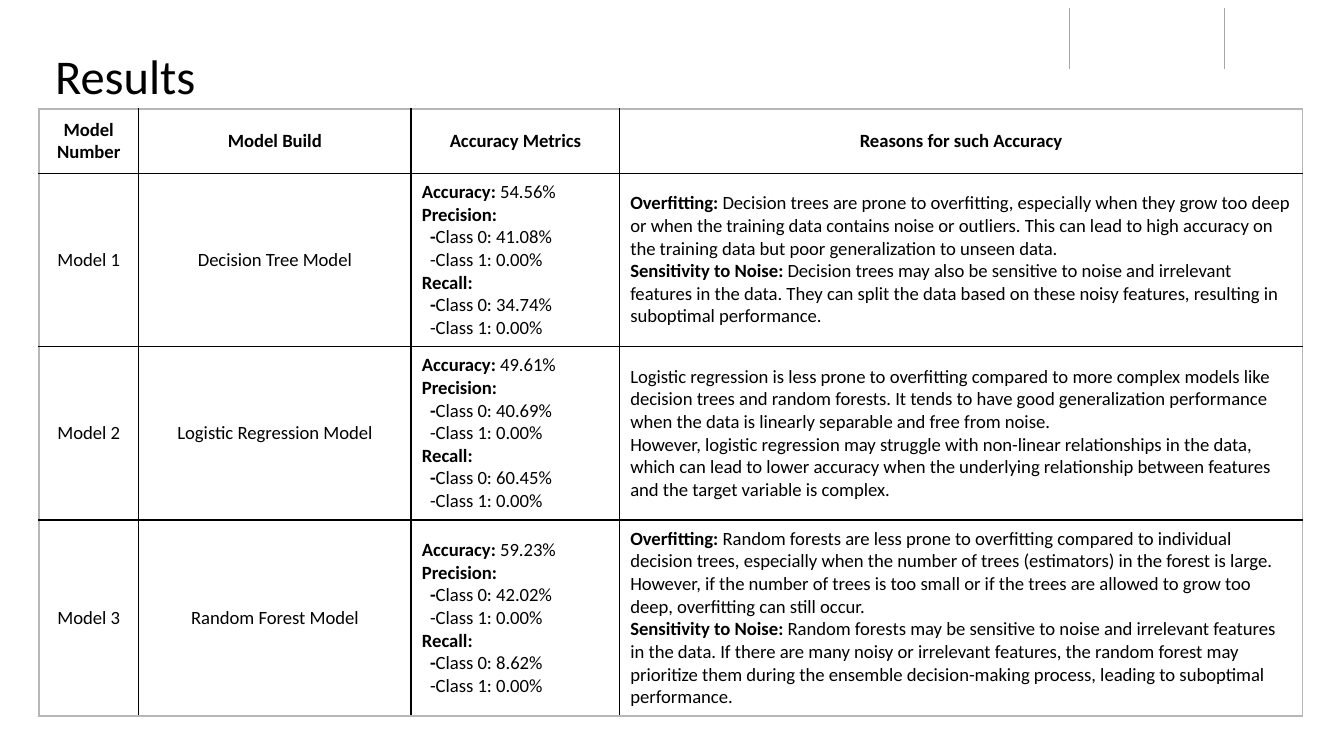
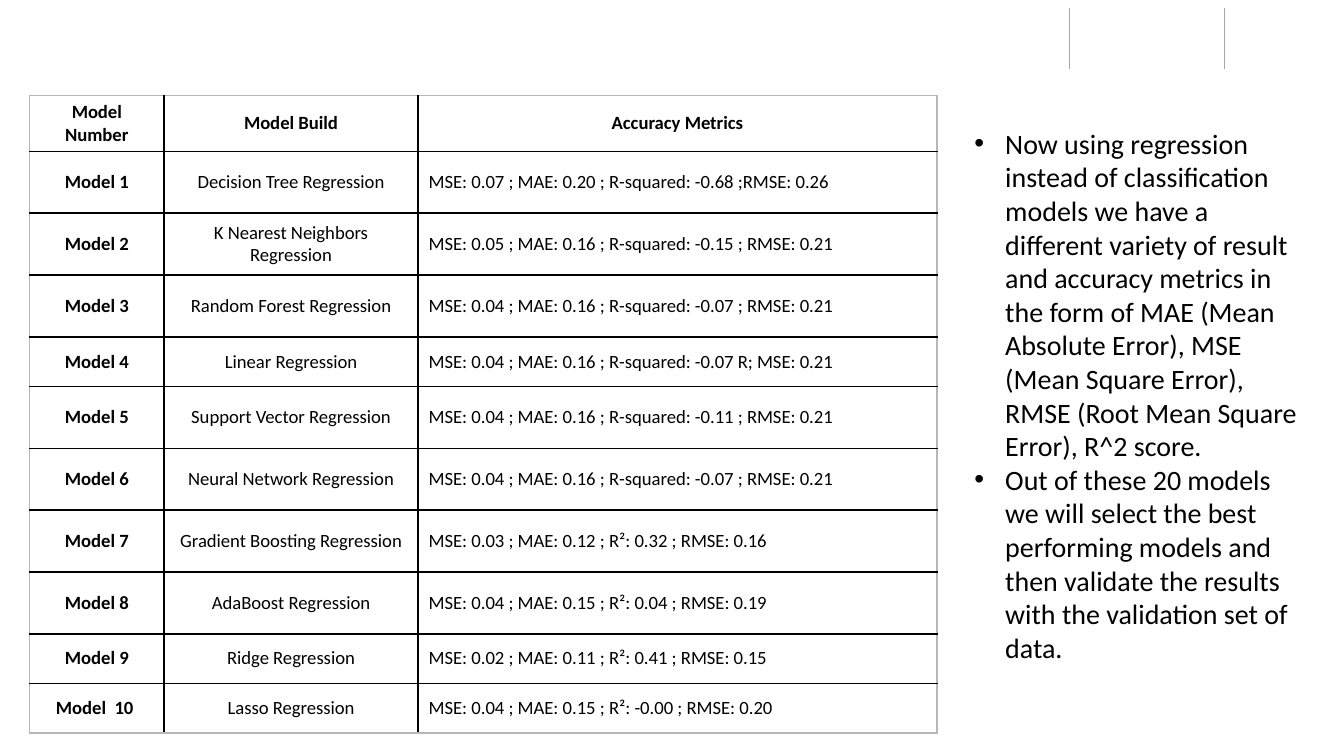
from dataclasses import dataclass

from lxml import etree
from pptx import Presentation
from pptx import util as u
from pptx.dml.color import RGBColor
from pptx.enum import shapes, text
from pptx.oxml import ns

COLOURS = {"ink": "000000", "guide": "A6A6A6", "frame": "B7B7B7"}
FONT = "Calibri"
CELL_SIZE = 10
TITLE_SIZE = 26
BODY_SIZE = 15
GUIDE_LEFTS = (7.96, 9.11)
INSETS = {"left": 0.08, "top": 0.04, "right": 0.08, "bottom": 0.04}


@dataclass(frozen=True)
class Line:
    lead: str = ""
    body: str = ""
    indent: float = 0


@dataclass(frozen=True)
class Cell:
    lines: tuple[Line, ...]
    centred: bool = False


@dataclass(frozen=True)
class Grid:
    left: float
    top: float
    columns: tuple[float, ...]
    heights: tuple[float, ...]
    rows: list[list[Cell]]


def colour(name: str) -> RGBColor:
    return RGBColor.from_string(COLOURS[name])


def label(words: str, bold: bool = False) -> Cell:
    return Cell((Line(lead=words) if bold else Line(body=words),), centred=True)


def headings(*names: str) -> list[Cell]:
    return [label(name, bold=True) for name in names]


def score_lines(accuracy: str, precision: str, recall: str) -> Cell:
    lines = [Line("Accuracy: ", accuracy)]
    for name, value in (("Precision:", precision), ("Recall:", recall)):
        lines += [
            Line(name),
            Line("-", f"Class 0: {value}", 0.06),
            Line("", "-Class 1: 0.00%", 0.06),
        ]
    return Cell(tuple(lines))


def reasons(overfitting: str, noise: str) -> Cell:
    return Cell((Line("Overfitting: ", overfitting), Line("Sensitivity to Noise: ", noise)))


def add_span(para, words: str, size: float, bold: bool = False) -> None:
    span = para.add_run()
    span.text = words
    span.font.name = FONT
    span.font.size = u.Pt(size)
    span.font.bold = bold
    span.font.color.rgb = colour("ink")


def set_insets(target) -> None:
    for side, inset in INSETS.items():
        setattr(target, f"margin_{side}", u.Inches(inset))


def next_para(frame, index: int):
    return frame.add_paragraph() if index else frame.paragraphs[0]


def set_borders(cell, sides: dict[str, str]) -> None:
    properties = cell._tc.get_or_add_tcPr()
    for tag, name in sides.items():
        edge = etree.SubElement(properties, ns.qn(f"a:{tag}"), w=str(u.Pt(1)))
        fill = etree.SubElement(edge, ns.qn("a:solidFill"))
        etree.SubElement(fill, ns.qn("a:srgbClr"), val=COLOURS[name])


def fill_cell(cell, content: Cell) -> None:
    set_insets(cell)
    cell.vertical_anchor = text.MSO_ANCHOR.MIDDLE
    for index, line in enumerate(content.lines):
        para = next_para(cell.text_frame, index)
        para.alignment = text.PP_ALIGN.CENTER if content.centred else text.PP_ALIGN.LEFT
        if line.indent:
            para._p.get_or_add_pPr().set("marL", str(u.Inches(line.indent)))
        if line.lead:
            add_span(para, line.lead, CELL_SIZE, bold=True)
        if line.body:
            add_span(para, line.body, CELL_SIZE)


def add_grid(page, grid: Grid) -> None:
    row_count, column_count = len(grid.heights), len(grid.columns)
    table = page.shapes.add_table(
        row_count, column_count, u.Inches(grid.left), u.Inches(grid.top),
        u.Inches(sum(grid.columns)), u.Inches(sum(grid.heights)),
    ).table
    table.first_row = False
    table.horz_banding = False
    for column, width in zip(table.columns, grid.columns):
        column.width = u.Inches(width)
    for row, height in zip(table.rows, grid.heights):
        row.height = u.Inches(height)
    for r, contents in enumerate(grid.rows):
        for c, content in enumerate(contents):
            cell = table.cell(r, c)
            fill_cell(cell, content)
            outer = {
                "lnL": c == 0, "lnR": c == column_count - 1,
                "lnT": r == 0, "lnB": r == row_count - 1,
            }
            set_borders(cell, {tag: "frame" if edge else "ink" for tag, edge in outer.items()})
            cell.fill.background()


def add_text_frame(page, left: float, top: float, width: float, height: float):
    box = page.shapes.add_textbox(
        u.Inches(left), u.Inches(top), u.Inches(width), u.Inches(height))
    frame = box.text_frame
    frame.word_wrap = True
    set_insets(frame)
    return frame


def add_title(page, words: str) -> None:
    frame = add_text_frame(page, 0.33, 0.3, 4.29, 0.51)
    add_span(frame.paragraphs[0], words, TITLE_SIZE)


def add_bullets(page, items: tuple[str, ...]) -> None:
    frame = add_text_frame(page, 7.17, 0.9, 2.64, 4.11)
    for index, item in enumerate(items):
        para = next_para(frame, index)
        properties = para._p.get_or_add_pPr()
        properties.set("marL", str(u.Inches(0.23)))
        properties.set("indent", str(u.Inches(-0.23)))
        etree.SubElement(properties, ns.qn("a:buFont"), typeface="Arial")
        etree.SubElement(properties, ns.qn("a:buChar"), char="•")
        add_span(para, item, BODY_SIZE)


def add_page(deck):
    page = deck.slides.add_slide(deck.slide_layouts[6])
    for left in GUIDE_LEFTS:
        guide = page.shapes.add_connector(
            shapes.MSO_CONNECTOR.STRAIGHT,
            u.Inches(left), u.Inches(0.06), u.Inches(left), u.Inches(0.51))
        guide.line.color.rgb = colour("guide")
        guide.line.width = u.Pt(0.75)
        etree.SubElement(guide._element.spPr, ns.qn("a:effectLst"))
    return page


CLASSIFIERS = [
    ("Decision Tree Model", score_lines("54.56%", "41.08%", "34.74%"), reasons(
        "Decision trees are prone to overfitting, especially when they grow too deep or when "
        "the training data contains noise or outliers. This can lead to high accuracy on the "
        "training data but poor generalization to unseen data.",
        "Decision trees may also be sensitive to noise and irrelevant features in the data. "
        "They can split the data based on these noisy features, resulting in suboptimal "
        "performance.")),
    ("Logistic Regression Model", score_lines("49.61%", "40.69%", "60.45%"), Cell((
        Line(body="Logistic regression is less prone to overfitting compared to more complex "
             "models like decision trees and random forests. It tends to have good "
             "generalization performance when the data is linearly separable and free from "
             "noise."),
        Line(body="However, logistic regression may struggle with non-linear relationships in "
             "the data, which can lead to lower accuracy when the underlying relationship "
             "between features and the target variable is complex.")))),
    ("Random Forest Model", score_lines("59.23%", "42.02%", "8.62%"), reasons(
        "Random forests are less prone to overfitting compared to individual decision trees, "
        "especially when the number of trees (estimators) in the forest is large. However, if "
        "the number of trees is too small or if the trees are allowed to grow too deep, "
        "overfitting can still occur.",
        "Random forests may be sensitive to noise and irrelevant features in the data. If "
        "there are many noisy or irrelevant features, the random forest may prioritize them "
        "during the ensemble decision-making process, leading to suboptimal performance.")),
]

REGRESSORS = [
    ("Model 1", "Decision Tree", "MSE: 0.07 ; MAE: 0.20 ; R-squared: -0.68 ;RMSE: 0.26"),
    ("Model 2", "K Nearest Neighbors", "MSE: 0.05 ; MAE: 0.16 ; R-squared: -0.15 ; RMSE: 0.21"),
    ("Model 3", "Random Forest", "MSE: 0.04 ; MAE: 0.16 ; R-squared: -0.07 ; RMSE: 0.21"),
    ("Model 4", "Linear", "MSE: 0.04 ; MAE: 0.16 ; R-squared: -0.07 R; MSE: 0.21"),
    ("Model 5", "Support Vector", "MSE: 0.04 ; MAE: 0.16 ; R-squared: -0.11 ; RMSE: 0.21"),
    ("Model 6", "Neural Network", "MSE: 0.04 ; MAE: 0.16 ; R-squared: -0.07 ; RMSE: 0.21"),
    ("Model 7", "Gradient Boosting", "MSE: 0.03 ; MAE: 0.12 ; R²: 0.32 ; RMSE: 0.16"),
    ("Model 8", "AdaBoost", "MSE: 0.04 ; MAE: 0.15 ; R²: 0.04 ; RMSE: 0.19"),
    ("Model 9", "Ridge", "MSE: 0.02 ; MAE: 0.11 ; R²: 0.41 ; RMSE: 0.15"),
    ("Model  10 ", "Lasso", "MSE: 0.04 ; MAE: 0.15 ; R²: -0.00 ; RMSE: 0.20"),
]

FINDINGS = (
    "Now using regression instead of classification models we have a different variety of "
    "result and accuracy metrics in the form of MAE (Mean Absolute Error), MSE (Mean Square "
    "Error), RMSE (Root Mean Square Error), R^2 score.",
    "Out of these 20 models we will select the best performing models and then validate the "
    "results with the validation set of data.",
)


def build_classification(deck) -> None:
    page = add_page(deck)
    rows = [headings("Model Number", "Model Build", "Accuracy Metrics",
                     "Reasons for such Accuracy")]
    for number, (build, scores, why) in enumerate(CLASSIFIERS, 1):
        rows.append([label(f"Model {number}"), label(build), scores, why])
    add_grid(page, Grid(0.29, 0.81, (0.74, 2.03, 1.55, 5.08), (0.48, 1.29, 1.29, 1.46), rows))
    add_title(page, "Results")


def build_regression(deck) -> None:
    page = add_page(deck)
    rows = [headings("Model Number", "Model Build", "Accuracy Metrics")]
    for name, build, scores in REGRESSORS:
        rows.append([label(name, bold=True), label(f"{build} Regression"),
                     Cell((Line(body=scores),))])
    short, tall = 0.37, 0.46
    heights = (0.41, *[tall] * 3, short, *[tall] * 4, short, short)
    add_grid(page, Grid(0.22, 0.71, (1, 1.89, 3.86), heights, rows))
    add_bullets(page, FINDINGS)


def main() -> None:
    deck = Presentation()
    deck.slide_width = u.Inches(10)
    deck.slide_height = u.Inches(10 * 9 / 16)
    build_classification(deck)
    build_regression(deck)
    deck.save("out.pptx")


if __name__ == "__main__":
    main()
